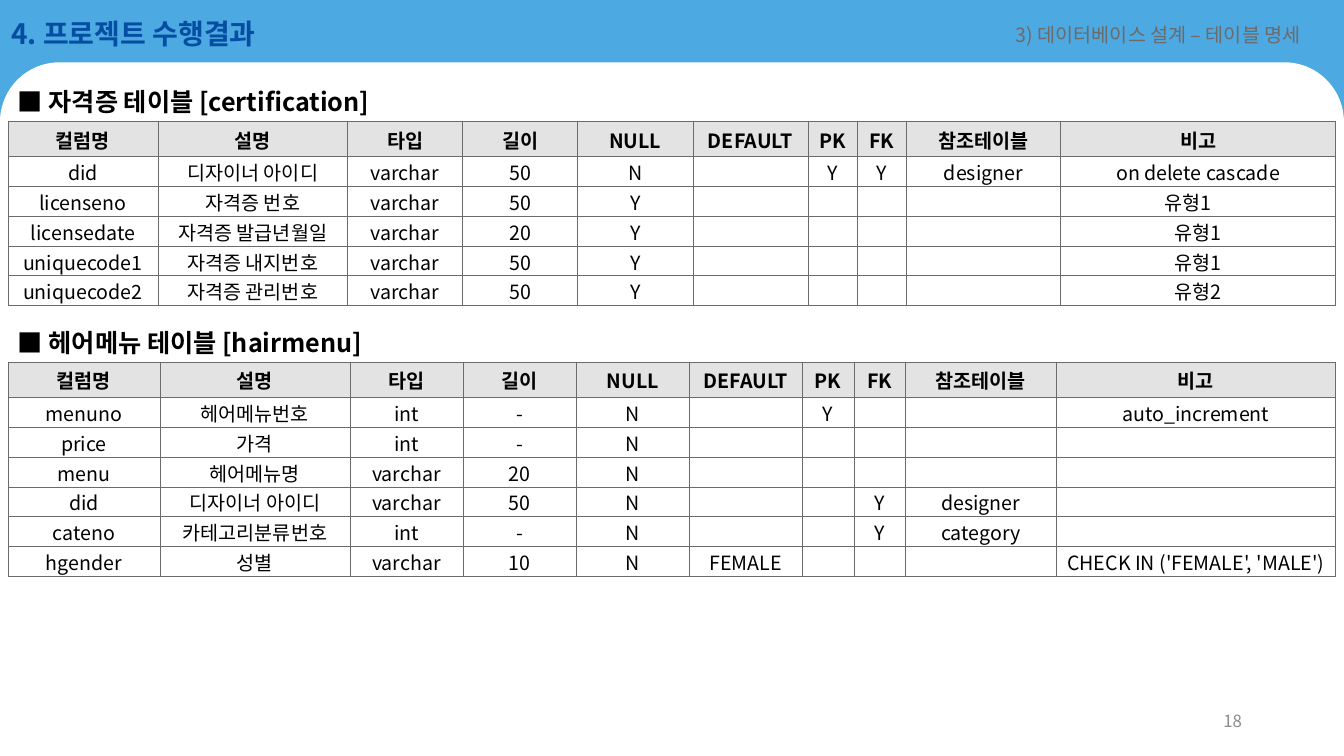
"""Build the slide that lists the certification and hairmenu table specs."""
from lxml import etree
from pptx import Presentation
from pptx.dml.color import RGBColor
from pptx.enum.shapes import MSO_SHAPE
from pptx.enum.text import MSO_ANCHOR, PP_ALIGN
from pptx.oxml.ns import qn
from pptx.util import Cm, Pt

LEFT, CENTER, RIGHT = PP_ALIGN.LEFT, PP_ALIGN.CENTER, PP_ALIGN.RIGHT
TOP, MIDDLE = MSO_ANCHOR.TOP, MSO_ANCHOR.MIDDLE
PANEL = MSO_SHAPE.ROUND_2_SAME_RECTANGLE

FONT = "Noto Sans CJK KR"
COLORS = {
    "sky": "4DA9E1", "white": "FFFFFF", "navy": "034EA2", "gray": "6B6B6B",
    "black": "000000", "head": "E3E3E3", "page": "8C8C8C",
}

TITLE = "4. 프로젝트 수행결과"
TOPIC = "3) 데이터베이스 설계 – 테이블 명세"
PAGE = "18"
HEADER = ("컬럼명", "설명", "타입", "길이", "NULL", "DEFAULT", "PK", "FK", "참조테이블", "비고")
SPECS = [
    {
        "name": "■ 자격증 테이블 [certification]",
        "top": 1.68,
        "widths": (3.78, 4.78, 2.9, 2.9, 2.9, 2.9, 1.24, 1.24, 3.89, 6.93),
        "rows": [
            ("did", "디자이너 아이디", "varchar", "50", "N", "", "Y", "Y", "designer", "on delete cascade"),
            ("licenseno", "자격증 번호", "varchar", "50", "Y", "", "", "", "", "유형1　"),
            ("licensedate", "자격증 발급년월일", "varchar", "20", "Y", "", "", "", "", "유형1"),
            ("uniquecode1", "자격증 내지번호", "varchar", "50", "Y", "", "", "", "", "유형1"),
            ("uniquecode2", "자격증 관리번호", "varchar", "50", "Y", "", "", "", "", "유형2"),
        ],
    },
    {
        "name": "■ 헤어메뉴 테이블 [hairmenu]",
        "top": 7.75,
        "widths": (3.83, 4.79, 2.85, 2.85, 2.85, 2.85, 1.3, 1.3, 3.8, 7.04),
        "rows": [
            ("menuno", "헤어메뉴번호", "int", "-", "N", "", "Y", "", "", "auto_increment"),
            ("price", "가격", "int", "-", "N", "", "", "", "", ""),
            ("menu", "헤어메뉴명", "varchar", "20", "N", "", "", "", "", ""),
            ("did", "디자이너 아이디", "varchar", "50", "N", "", "", "Y", "designer", ""),
            ("cateno", "카테고리분류번호", "int", "-", "N", "", "", "Y", "category", ""),
            ("hgender", "성별", "varchar", "10", "N", "FEMALE", "", "", "", "CHECK IN ('FEMALE', 'MALE')"),
        ],
    },
]

WIDE, HIGH = 33.87, 19.05
PANEL_TOP = 1.57
EDGE = 0.2
NAME_HIGH = 1.37
HEAD_HIGH, ROW_HIGH = 0.9, 0.75


def color(key):
    return RGBColor.from_string(COLORS[key])


def write(frame, text, size=14, tone="black", bold=False, align=LEFT, lines=None):
    para = frame.paragraphs[0]
    para.alignment = align
    if lines:
        para.line_spacing = lines
    if not text:
        etree.SubElement(para._p, qn("a:endParaRPr"), sz=str(size * 100))
        return
    run = para.add_run()
    run.text = text
    font = run.font
    font.size, font.bold, font.name = Pt(size), bold, FONT
    font.color.rgb = color(tone)
    etree.SubElement(font._element, qn("a:ea"), typeface=FONT)


def label(slide, text, box, anchor=MIDDLE, **form):
    frame = slide.shapes.add_textbox(*map(Cm, box)).text_frame
    frame.word_wrap = True
    frame.vertical_anchor = anchor
    write(frame, text, **form)


def border(cell):
    props = cell._tc.get_or_add_tcPr()
    for side in ("lnL", "lnR", "lnT", "lnB"):
        line = etree.SubElement(props, qn("a:" + side), w=str(Pt(0.5)))
        fill = etree.SubElement(line, qn("a:solidFill"))
        etree.SubElement(fill, qn("a:srgbClr"), val=COLORS["gray"])


def fill_cell(cell, text, head):
    cell.margin_left = cell.margin_right = cell.margin_top = Cm(0.03)
    cell.margin_bottom = 0
    cell.vertical_anchor = MIDDLE
    border(cell)
    if head:
        cell.fill.solid()
        cell.fill.fore_color.rgb = color("head")
    else:
        cell.fill.background()
    write(cell.text_frame, text, bold=head, align=CENTER)


def add_spec(slide, spec):
    label(slide, spec["name"], (EDGE, spec["top"], 27.13, NAME_HIGH), size=18, bold=True, lines=1.5)
    rows = [HEADER] + spec["rows"]
    widths = spec["widths"]
    high = HEAD_HIGH + ROW_HIGH * len(spec["rows"])
    box = (EDGE, spec["top"] + NAME_HIGH, sum(widths), high)
    table = slide.shapes.add_table(len(rows), len(widths), *map(Cm, box)).table
    table.first_row = table.horz_banding = False
    for col, width in zip(table.columns, widths):
        col.width = Cm(width)
    for r, row in enumerate(rows):
        table.rows[r].height = Cm(ROW_HIGH if r else HEAD_HIGH)
        for c, text in enumerate(row):
            fill_cell(table.cell(r, c), text, r == 0)


def main():
    deck = Presentation()
    deck.slide_width, deck.slide_height = Cm(WIDE), Cm(HIGH)
    slide = deck.slides.add_slide(deck.slide_layouts[6])
    slide.background.fill.solid()
    slide.background.fill.fore_color.rgb = color("sky")

    panel = slide.shapes.add_shape(PANEL, 0, Cm(PANEL_TOP), Cm(WIDE), Cm(HIGH - PANEL_TOP))
    panel.adjustments[0] = 0.086
    panel.adjustments[1] = 0
    panel.shadow.inherit = False
    panel.fill.solid()
    panel.fill.fore_color.rgb = color("white")
    panel.line.fill.background()

    label(slide, TITLE, (0.03, 0.1, 13.59, 1.47), size=20, tone="navy", bold=True)
    label(slide, TOPIC, (25.35, 0.46, 8.51, 0.86), anchor=TOP, tone="gray")
    for spec in SPECS:
        add_spec(slide, spec)
    label(slide, PAGE, (23.93, 17.65, 7.62, 1.02), size=12, tone="page", align=RIGHT)
    deck.save("out.pptx")


if __name__ == "__main__":
    main()
